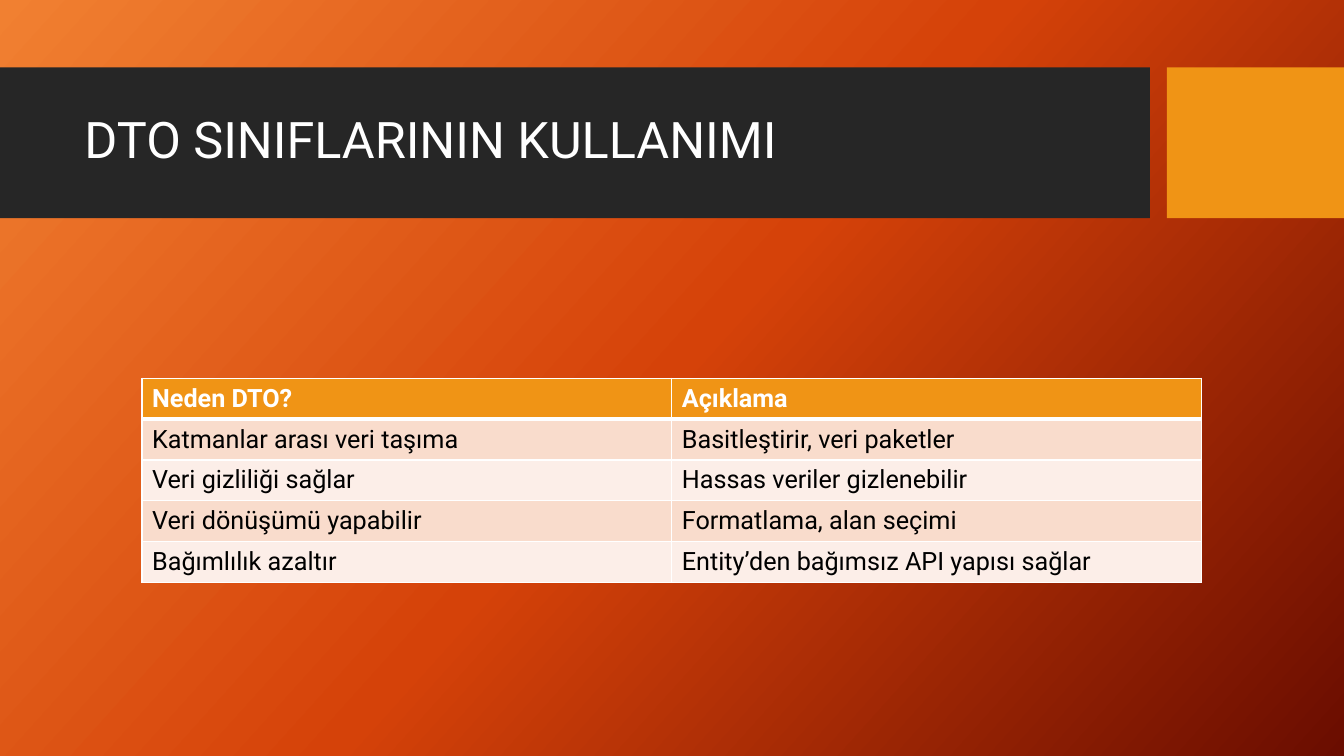
import copy
import dataclasses

import lxml.etree
import pptx
import pptx.dml.color
import pptx.enum.shapes
import pptx.enum.text
import pptx.oxml.ns
import pptx.util

Cm = pptx.util.Cm
Pt = pptx.util.Pt
qn = pptx.oxml.ns.qn
MIDDLE = pptx.enum.text.MSO_ANCHOR.MIDDLE

FONT = "Roboto"
COLORS = {
    "light": "F18031",
    "mid": "D54209",
    "deep": "6A0D00",
    "dark": "262626",
    "accent": "F09415",
    "white": "FFFFFF",
    "black": "000000",
    "odd": "F9DCCC",
    "even": "FCEEE8",
}


@dataclasses.dataclass(frozen=True)
class Box:
    left: float
    top: float
    width: float
    height: float

    def place(self) -> tuple:
        return Cm(self.left), Cm(self.top), Cm(self.width), Cm(self.height)


@dataclasses.dataclass(frozen=True)
class Bar:
    box: Box
    color: str


BARS = [
    Bar(Box(0, 1.7, 28.98, 3.8), "dark"),
    Bar(Box(29.41, 1.7, 4.46, 3.8), "accent"),
]
TITLE = "DTO SINIFLARININ KULLANIMI"
TITLE_BOX = Box(1.88, 2.08, 26.7, 3)
GRID_BOX = Box(3.58, 9.53, 26.7, 5.15)
ROWS = [
    ("Neden DTO?", "Açıklama"),
    ("Katmanlar arası veri taşıma", "Basitleştirir, veri paketler"),
    ("Veri gizliliği sağlar", "Hassas veriler gizlenebilir"),
    ("Veri dönüşümü yapabilir", "Formatlama, alan seçimi"),
    ("Bağımlılık azaltır", "Entity’den bağımsız API yapısı sağlar"),
]


def tint(name: str) -> pptx.dml.color.RGBColor:
    return pptx.dml.color.RGBColor.from_string(COLORS[name])


def write(frame, text: str, size: float, color: str, bold: bool = False) -> None:
    run = frame.paragraphs[0].add_run()
    run.text = text
    run.font.name = FONT
    run.font.size = Pt(size)
    run.font.bold = bold
    run.font.color.rgb = tint(color)


def paint_back(slide) -> None:
    fill = slide.background.fill
    fill.gradient()
    fill.gradient_angle = 360 - 42
    stops = slide.background._cSld.find(".//" + qn("a:gsLst"))
    stops.insert(1, copy.deepcopy(stops[0]))
    for index, (stop, name) in enumerate(zip(fill.gradient_stops, ("light", "mid", "deep"))):
        stop.position = index / 2
        stop.color.rgb = tint(name)


def draw_bar(slide, bar: Bar) -> None:
    kind = pptx.enum.shapes.MSO_SHAPE.RECTANGLE
    shape = slide.shapes.add_shape(kind, *bar.box.place())
    shape.shadow.inherit = False
    shape.fill.solid()
    shape.fill.fore_color.rgb = tint(bar.color)
    shape.line.fill.background()


def draw_title(slide) -> None:
    frame = slide.shapes.add_textbox(*TITLE_BOX.place()).text_frame
    frame.word_wrap = True
    frame.vertical_anchor = MIDDLE
    frame.paragraphs[0].line_spacing = 0.9
    write(frame, TITLE, 36, "white")


def edge(cell, side: str, width: float) -> None:
    props = cell._tc.get_or_add_tcPr()
    line = lxml.etree.SubElement(props, qn(f"a:ln{side}"), w=str(Pt(width)))
    fill = lxml.etree.SubElement(line, qn("a:solidFill"))
    lxml.etree.SubElement(fill, qn("a:srgbClr"), val=COLORS["white"])


def draw_grid(slide) -> None:
    frame = slide.shapes.add_table(len(ROWS), len(ROWS[0]), *GRID_BOX.place())
    for index, row in enumerate(ROWS):
        head = index == 0
        shade = "accent" if head else "odd" if index % 2 else "even"
        for col, text in enumerate(row):
            cell = frame.table.cell(index, col)
            edge(cell, "L", 1)
            edge(cell, "R", 1)
            edge(cell, "T", 3 if index == 1 else 1)
            edge(cell, "B", 3 if head else 1)
            cell.fill.solid()
            cell.fill.fore_color.rgb = tint(shade)
            cell.vertical_anchor = MIDDLE
            write(cell.text_frame, text, 18, "white" if head else "black", head)


def main() -> None:
    deck = pptx.Presentation()
    deck.slide_width = Cm(33.87)
    deck.slide_height = Cm(19.05)
    slide = deck.slides.add_slide(deck.slide_layouts[6])
    paint_back(slide)
    for bar in BARS:
        draw_bar(slide, bar)
    draw_title(slide)
    draw_grid(slide)
    deck.save("out.pptx")


if __name__ == "__main__":
    main()
